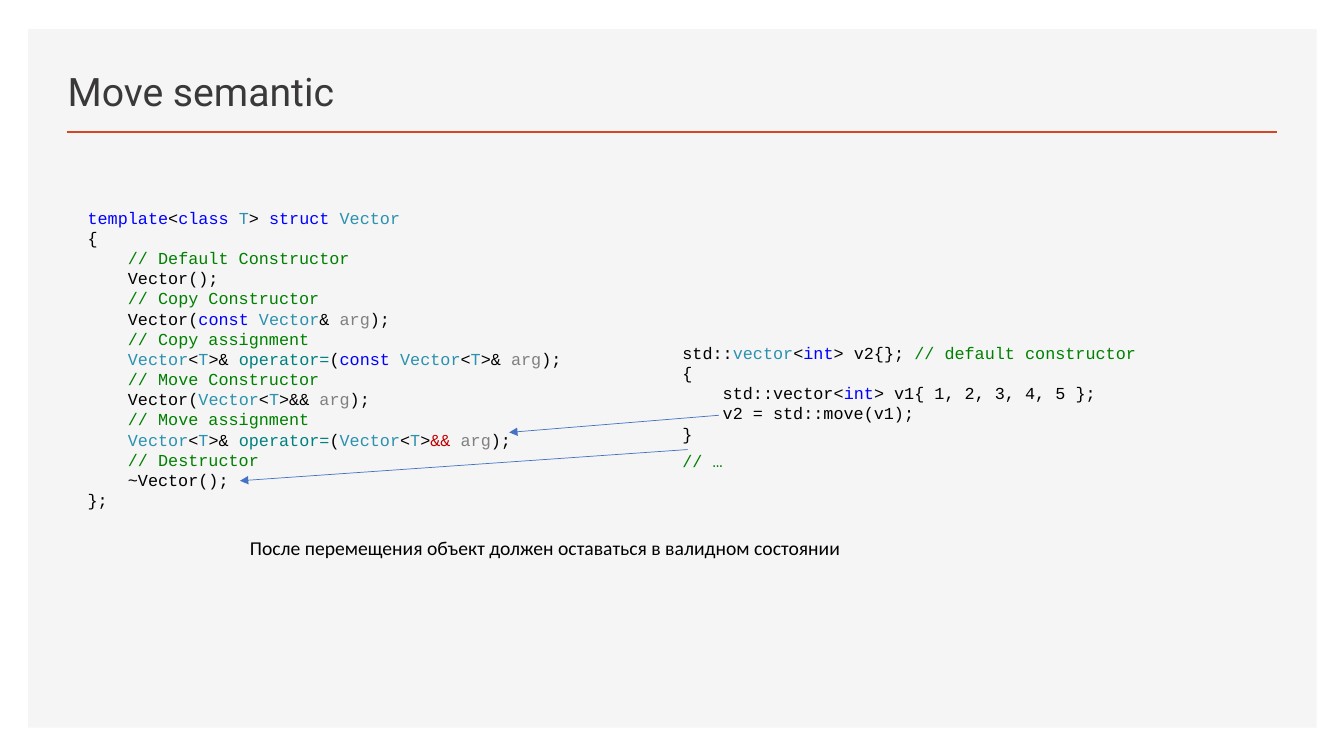
from dataclasses import dataclass
from functools import partial
from typing import NamedTuple

from lxml.etree import SubElement
from pptx import Presentation
from pptx.dml.color import RGBColor
from pptx.enum.shapes import MSO_CONNECTOR, MSO_SHAPE
from pptx.enum.text import MSO_ANCHOR, MSO_AUTO_SIZE, PP_ALIGN
from pptx.oxml.ns import qn
from pptx.shapes.connector import Connector
from pptx.slide import Slide
from pptx.text.text import TextFrame
from pptx.util import Inches, Pt


@dataclass(frozen=True)
class Theme:
    panel: str = "F5F5F5"
    accent: str = "D24726"
    arrow: str = "4472C4"
    title: str = "3B3838"
    text: str = "000000"
    keyword: str = "0000FF"
    type_name: str = "2B91AF"
    comment: str = "008000"
    operator: str = "008080"
    argument: str = "808080"
    highlight: str = "C00000"
    title_font: str = "Roboto"
    code_font: str = "Courier New"
    body_font: str = "Calibri"
    title_size: int = 28
    code_size: int = 12
    body_size: int = 14


THEME = Theme()


class Token(NamedTuple):
    text: str
    color: str = THEME.text


class TextBlock(NamedTuple):
    box: tuple[float, float, float, float]
    lines: list[list[Token]]
    font: str = THEME.code_font
    size: int = THEME.code_size


class Line(NamedTuple):
    start: tuple[float, float]
    end: tuple[float, float]
    color: str = THEME.arrow
    width: float = 0.5
    arrow: bool = True


plain = Token
kw = partial(Token, color=THEME.keyword)
typ = partial(Token, color=THEME.type_name)
note = partial(Token, color=THEME.comment)
op = partial(Token, color=THEME.operator)
INDENT = plain("    ")
ARG_END = [Token("arg", THEME.argument), plain(");")]
VECTOR_T = [typ("Vector"), plain("<"), typ("T")]
ASSIGN = [INDENT, *VECTOR_T, plain(">& "), op("operator="), plain("(")]

CLASS_CODE = [
    [kw("template"), plain("<"), kw("class "), typ("T"), plain("> "),
     kw("struct "), typ("Vector")],
    [plain("{")],
    [INDENT, note("// Default Constructor")],
    [INDENT, plain("Vector();")],
    [INDENT, note("// Copy Constructor")],
    [INDENT, plain("Vector("), kw("const "), typ("Vector"), plain("& "), *ARG_END],
    [INDENT, note("// Copy assignment")],
    [*ASSIGN, kw("const "), *VECTOR_T, plain(">& "), *ARG_END],
    [INDENT, note("// Move Constructor")],
    [INDENT, plain("Vector("), *VECTOR_T, plain(">&& "), *ARG_END],
    [INDENT, note("// Move assignment")],
    [*ASSIGN, *VECTOR_T, plain(">"), Token("&& ", THEME.highlight), *ARG_END],
    [INDENT, note("// Destructor")],
    [INDENT, plain("~Vector();")],
    [plain("};")],
]
USAGE_CODE = [
    [plain("std::"), typ("vector"), plain("<"), kw("int"), plain("> v2{}; "),
     note("// default constructor")],
    [plain("{")],
    [INDENT, plain("std::vector<"), kw("int"), plain("> v1{ 1, 2, 3, 4, 5 };")],
    [INDENT, plain("v2 = std::move(v1);")],
    [plain("}")],
]
REMARK = [[plain("После перемещения объект должен оставаться в валидном состоянии")]]

BLOCKS = [
    TextBlock((0.77, 2.01, 4.92, 3.13), CLASS_CODE),
    TextBlock((6.67, 3.35, 4.87, 1.11), USAGE_CODE),
    TextBlock((6.67, 4.42, 6.67, 0.3), [[note("// …")]]),
    TextBlock((2.38, 5.27, 8.88, 0.34), REMARK, THEME.body_font, THEME.body_size),
]
TITLE_RULE = Line((0.66, 1.31), (12.67, 1.31), THEME.accent, 2, False)
ARROWS = [
    Line((7.13, 4.12), (5.05, 4.29)),
    Line((6.82, 4.46), (2.38, 4.77)),
]


def write_lines(tf: TextFrame, lines: list[list[Token]], font: str, size: int) -> None:
    for i, tokens in enumerate(lines):
        p = tf.paragraphs[0] if i == 0 else tf.add_paragraph()
        for token in tokens:
            r = p.add_run()
            r.text = token.text
            for name, value in {"name": font, "size": Pt(size), "bold": False}.items():
                setattr(r.font, name, value)
            r.font.color.rgb = RGBColor.from_string(token.color)


def add_block(s: Slide, block: TextBlock) -> None:
    tf = s.shapes.add_textbox(*map(Inches, block.box)).text_frame
    tf.word_wrap = True
    tf.auto_size = MSO_AUTO_SIZE.SHAPE_TO_FIT_TEXT
    write_lines(tf, block.lines, block.font, block.size)


def add_line(s: Slide, line: Line) -> Connector:
    c = s.shapes.add_connector(MSO_CONNECTOR.STRAIGHT, *map(Inches, line.start + line.end))
    c.line.color.rgb = RGBColor.from_string(line.color)
    c.line.width = Pt(line.width)
    if line.arrow:
        SubElement(c.line._get_or_add_ln(), qn("a:tailEnd"), type="triangle")
    SubElement(c.element.spPr, qn("a:effectLst"))
    return c


def add_panel(s: Slide) -> None:
    sp = s.shapes.add_shape(MSO_SHAPE.RECTANGLE, *map(Inches, (0.28, 0.29, 12.78, 6.93)))
    sp.shadow.inherit = False
    sp.fill.solid()
    sp.fill.fore_color.rgb = RGBColor.from_string(THEME.panel)
    sp.line.fill.background()


def add_title(s: Slide, text: str, rule: Connector) -> None:
    """Format the title placeholder and stack it above its rule."""
    title = s.shapes.title
    place = {"left": 0.57, "top": 0.49, "width": 9.66, "height": 0.7}
    for name, value in place.items():
        setattr(title, name, Inches(value))
    tf = title.text_frame
    frame = {"vertical_anchor": MSO_ANCHOR.BOTTOM, "word_wrap": True,
             "auto_size": MSO_AUTO_SIZE.NONE}
    for name, value in frame.items():
        setattr(tf, name, value)
    write_lines(tf, [[Token(text, THEME.title)]], THEME.title_font, THEME.title_size)
    p = tf.paragraphs[0]
    p.alignment = PP_ALIGN.LEFT
    p.line_spacing = 0.9
    rule.element.addnext(title.element)


def main() -> None:
    prs = Presentation()
    prs.slide_width, prs.slide_height = Inches(13.33), Inches(7.5)
    s = prs.slides.add_slide(prs.slide_layouts.get_by_name("Title Only"))
    add_panel(s)
    add_title(s, "Move semantic", add_line(s, TITLE_RULE))
    for block in BLOCKS:
        add_block(s, block)
    for arrow in ARROWS:
        add_line(s, arrow)
    prs.save("out.pptx")


if __name__ == "__main__":
    main()
